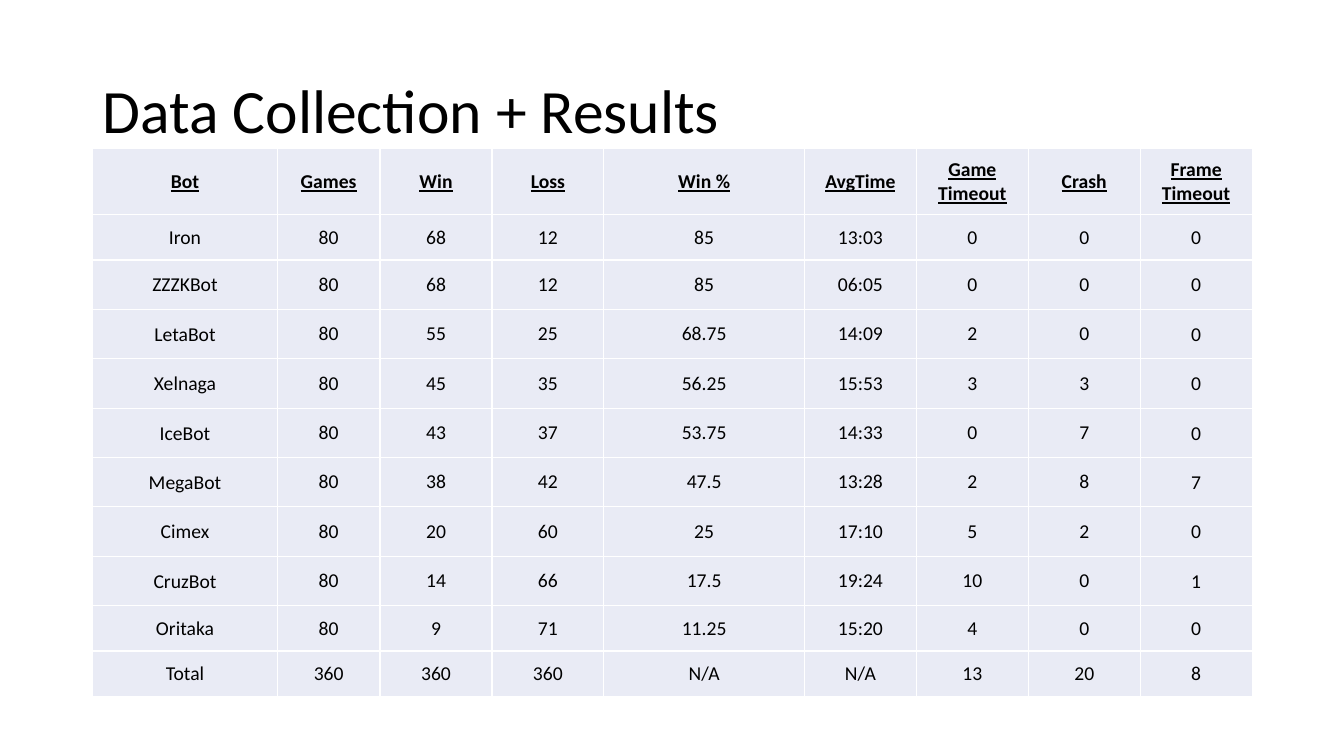
from lxml.etree import SubElement
from pptx import Presentation
from pptx.dml.color import RGBColor
from pptx.enum.text import MSO_ANCHOR, PP_ALIGN
from pptx.oxml.ns import qn
from pptx.util import Inches, Pt

TITLE = "Data Collection + Results"
HEAD = ("Bot", "Games", "Win", "Loss", "Win %", "AvgTime",
        "Game Timeout", "Crash", "Frame Timeout")
BOTS = [
    ("Iron", 80, 68, 12, 85, "13:03", 0, 0, 0),
    ("ZZZKBot", 80, 68, 12, 85, "06:05", 0, 0, 0),
    ("LetaBot", 80, 55, 25, 68.75, "14:09", 2, 0, 0),
    ("Xelnaga", 80, 45, 35, 56.25, "15:53", 3, 3, 0),
    ("IceBot", 80, 43, 37, 53.75, "14:33", 0, 7, 0),
    ("MegaBot", 80, 38, 42, 47.5, "13:28", 2, 8, 7),
    ("Cimex", 80, 20, 60, 25, "17:10", 5, 2, 0),
    ("CruzBot", 80, 14, 66, 17.5, "19:24", 10, 0, 1),
    ("Oritaka", 80, 9, 71, 11.25, "15:20", 4, 0, 0),
]
TOTAL = ("Total", 360, 360, 360, "N/A", "N/A", 13, 20, 8)
ROWS = [HEAD, *BOTS, TOTAL]

WIDE, HIGH = 13.33, 7.5
LEFT, SPAN = 0.92, 11.5
COLS = [1.83, 1.02, 1.11, 1.11, 1.99] + [1.11] * 4
TALL = [0.66, 0.45] + [0.49] * 7 + [0.45] * 2
FONT = "Calibri"
BLACK = RGBColor(0, 0, 0)
WHITE = RGBColor(255, 255, 255)
PALE = RGBColor(0xE9, 0xEB, 0xF5)


def style(text, size, bold=False):
    for run in text.paragraphs[0].runs:
        font = run.font
        font.name, font.size = FONT, Pt(size)
        font.bold = font.underline = bold
        font.color.rgb = BLACK


def border(cell):
    props = cell._tc.get_or_add_tcPr()
    for n, side in enumerate(("a:lnL", "a:lnR", "a:lnT", "a:lnB")):
        line = SubElement(props, qn(side), w=str(Pt(1)))
        fill = SubElement(line, qn("a:solidFill"))
        SubElement(fill, qn("a:srgbClr"), val=str(WHITE))
        props.insert(n, line)


def add_title(slide):
    box = slide.shapes.add_textbox(Inches(LEFT), Inches(0.4), Inches(SPAN), Inches(1.45))
    text = box.text_frame
    text.word_wrap = True
    text.vertical_anchor = MSO_ANCHOR.MIDDLE
    text.text = TITLE
    text.paragraphs[0].line_spacing = 0.9
    style(text, 44)


def add_results(slide):
    table = slide.shapes.add_table(
        len(ROWS), len(COLS), Inches(LEFT), Inches(1.47),
        Inches(SPAN), Inches(sum(TALL))).table
    table.horz_banding = False
    for col, width in zip(table.columns, COLS):
        col.width = Inches(width)
    for r, (row, height) in enumerate(zip(ROWS, TALL)):
        table.rows[r].height = Inches(height)
        for c, value in enumerate(row):
            cell = table.cell(r, c)
            inner = 2 <= r <= 8 and 1 <= c <= 7
            cell.margin_left = cell.margin_right = Inches(0.01)
            cell.margin_top = Inches(0.02 if inner else 0.01)
            cell.margin_bottom = Inches(0.02 if inner else 0)
            cell.vertical_anchor = MSO_ANCHOR.MIDDLE
            cell.fill.solid()
            cell.fill.fore_color.rgb = PALE
            border(cell)
            text = cell.text_frame
            text.text = str(value)
            text.paragraphs[0].alignment = PP_ALIGN.CENTER
            style(text, 14, r == 0)


def main():
    deck = Presentation()
    deck.slide_width, deck.slide_height = Inches(WIDE), Inches(HIGH)
    slide = deck.slides.add_slide(deck.slide_layouts[6])
    add_title(slide)
    add_results(slide)
    deck.save("out.pptx")


if __name__ == "__main__":
    main()
